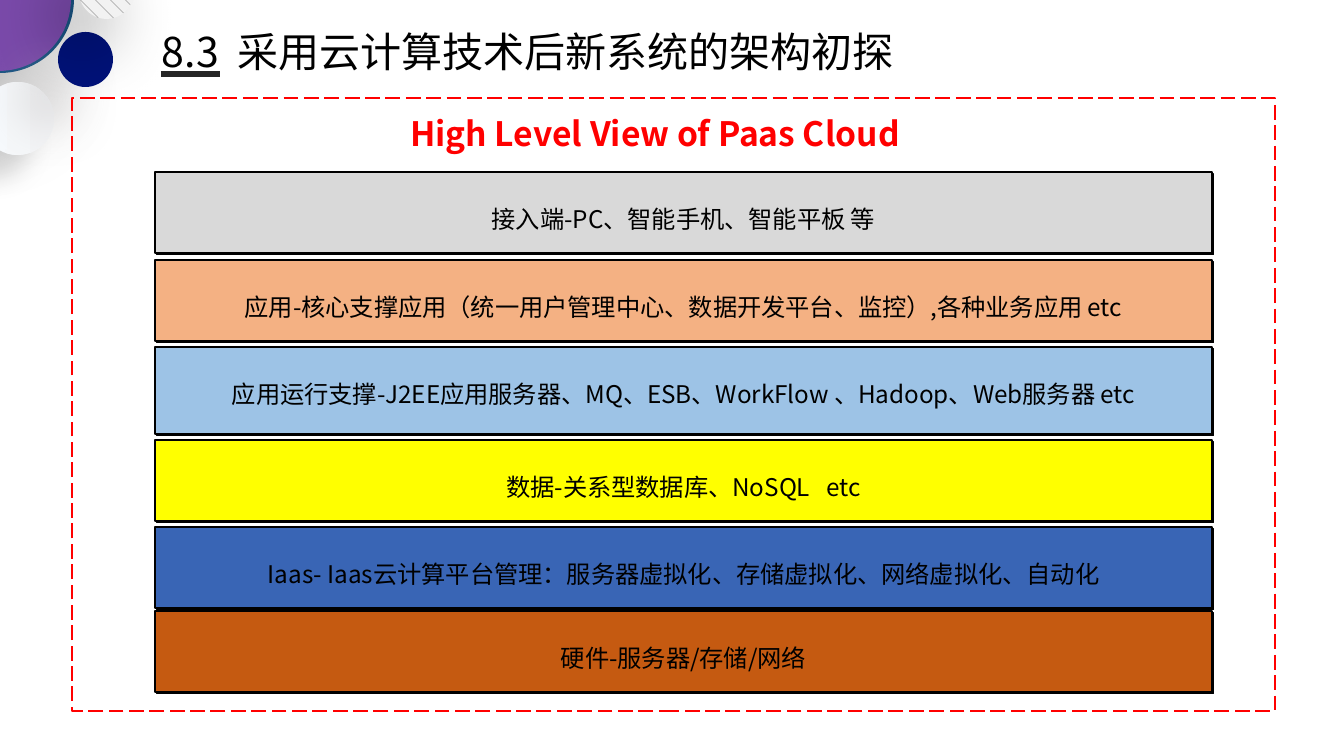
"""Build the cloud architecture slide with its six stacked layers."""
from dataclasses import dataclass
from typing import Optional

from lxml import etree
from pptx import Presentation
from pptx import util as u
from pptx.dml.color import RGBColor
from pptx.enum import dml, shapes, text
from pptx.oxml import ns

SCALE = 914400 / 134.4
FONT = "Noto Sans CJK SC"
COLORS = {
    "black": "000000", "red": "FF0000", "underline": "262626",
    "purple": "7A4AAA", "navy": "001279", "silver": "AFABAB",
    "pearl": "F7FAFD", "mist": "F4F5F7", "teal": "26688F", "ocean": "195382",
    "charcoal": "404040", "smoke": "F2F2F2",
    "access": "D9D9D9", "application": "F4B183", "runtime": "9DC3E6",
    "data": "FFFF00", "iaas": "3965B5", "hardware": "C55A11",
}


@dataclass
class Shadow:
    color: str
    alpha: int
    blur: float
    distance: float
    direction: int = 135


@dataclass
class Circle:
    left: int
    top: int
    size: int
    colors: tuple
    pattern: Optional[dml.MSO_PATTERN] = None
    rotation: float = 0
    shadow: Optional[Shadow] = None


@dataclass
class Layer:
    top: int
    height: int
    color: str
    label: str


PERCENT, SHINGLE = dml.MSO_PATTERN.PERCENT_5, dml.MSO_PATTERN.SHINGLE
CIRCLES = [
    Circle(-74, -75, 148, ("teal", "ocean"), PERCENT, shadow=Shadow("black", 40, 52, 32)),
    Circle(-73, -73, 144, ("purple",)),
    Circle(-19, 82, 73, ("pearl", "mist"), rotation=270, shadow=Shadow("black", 14, 14, 18)),
    Circle(-16, 83, 69, ("pearl", "mist"), rotation=270),
    Circle(58, 32, 55, ("navy",), shadow=Shadow("silver", 40, 27, 29)),
    Circle(79, -38, 56, ("charcoal", "smoke"), SHINGLE, 11.1, Shadow("black", 40, 38, 19)),
    Circle(79, -36, 55, ("charcoal", "smoke"), SHINGLE, 11.1),
]
LAYERS = [
    Layer(611, 81, "hardware", "硬件-服务器/存储/网络"),
    Layer(527, 81, "iaas", "Iaas- Iaas云计算平台管理：服务器虚拟化、存储虚拟化、网络虚拟化、自动化"),
    Layer(440, 81, "data", "数据-关系型数据库、NoSQL   etc"),
    Layer(347, 87, "runtime", "应用运行支撑-J2EE应用服务器、MQ、ESB、WorkFlow 、Hadoop、Web服务器 etc"),
    Layer(260, 81, "application", "应用-核心支撑应用（统一用户管理中心、数据开发平台、监控）,各种业务应用 etc"),
    Layer(172, 81, "access", "接入端-PC、智能手机、智能平板 等"),
]
LAYER_SHADOW = Shadow("black", 100, 0, 1.4, 45)


def px(value: int) -> u.Emu:
    """Turn pixels into EMU."""
    return u.Emu(round(value * SCALE))


def rgb(name: str) -> RGBColor:
    """Look up a named colour."""
    return RGBColor.from_string(COLORS[name])


def set_shadow(shape, shadow: Optional[Shadow]) -> None:
    """Remove the theme shadow and add an outer shadow if one is given."""
    shape.shadow.inherit = False
    if shadow is None:
        return
    effects = shape._element.spPr.find(ns.qn("a:effectLst"))
    outer = etree.SubElement(
        effects, ns.qn("a:outerShdw"), blurRad=str(int(u.Pt(shadow.blur))),
        dist=str(int(u.Pt(shadow.distance))), dir=str(shadow.direction * 60000),
        algn="ctr", rotWithShape="0")
    color = etree.SubElement(outer, ns.qn("a:srgbClr"), val=COLORS[shadow.color])
    etree.SubElement(color, ns.qn("a:alpha"), val=str(shadow.alpha * 1000))


def write_text(shape, content: str, size: int, color: str, bold: bool = False,
               align=text.PP_ALIGN.CENTER, anchor=text.MSO_ANCHOR.MIDDLE,
               insets: tuple = (13, 7, 13, 7)) -> None:
    """Put one formatted paragraph into a shape."""
    frame = shape.text_frame
    frame.text = content
    frame.word_wrap = True
    frame.auto_size = text.MSO_AUTO_SIZE.NONE
    frame.vertical_anchor = anchor
    frame.margin_left, frame.margin_top, frame.margin_right, frame.margin_bottom = map(px, insets)
    paragraph = frame.paragraphs[0]
    paragraph.alignment = align
    for run in paragraph.runs:
        run.font.name, run.font.size, run.font.bold = FONT, u.Pt(size), bold
        run.font.color.rgb = rgb(color)
        etree.SubElement(run.font._element, ns.qn("a:ea"), typeface=FONT)


def draw_circle(slide, circle: Circle) -> None:
    """Draw one decorative corner circle."""
    shape = slide.shapes.add_shape(
        shapes.MSO_SHAPE.OVAL, px(circle.left), px(circle.top), px(circle.size), px(circle.size))
    shape.rotation = circle.rotation
    shape.line.fill.background()
    fill = shape.fill
    if circle.pattern is not None:
        fill.patterned()
        fill.pattern = circle.pattern
        fill.fore_color.rgb, fill.back_color.rgb = map(rgb, circle.colors)
    elif len(circle.colors) == 2:
        fill.gradient()
        fill.gradient_angle = 270
        for stop, color in zip(fill.gradient_stops, circle.colors):
            stop.color.rgb = rgb(color)
    else:
        fill.solid()
        fill.fore_color.rgb = rgb(circle.colors[0])
    set_shadow(shape, circle.shadow)


def draw_layer(group, layer: Layer) -> None:
    """Draw one layer of the architecture stack."""
    shape = group.shapes.add_shape(
        shapes.MSO_SHAPE.RECTANGLE, px(155), px(layer.top), px(1057), px(layer.height))
    shape.fill.solid()
    shape.fill.fore_color.rgb = rgb(layer.color)
    shape.line.color.rgb = rgb("black")
    shape.line.width = u.Pt(0.75)
    set_shadow(shape, LAYER_SHADOW)
    write_text(shape, layer.label, 13, "black", anchor=text.MSO_ANCHOR.TOP,
               insets=(13, 32, 13, 7))


def draw_frame(slide) -> None:
    """Draw the dashed frame around the stack."""
    frame = slide.shapes.add_shape(
        shapes.MSO_SHAPE.RECTANGLE, px(72), px(98), px(1203), px(613))
    frame.fill.background()
    frame.line.color.rgb = rgb("red")
    frame.line.width = u.Pt(1)
    frame.line.dash_style = dml.MSO_LINE.LONG_DASH
    set_shadow(frame, None)


def draw_headings(slide) -> None:
    """Place the title, its underline and the diagram heading."""
    title = slide.shapes.title
    title.left, title.top, title.width, title.height = map(px, (155, 23, 767, 56))
    write_text(title, "8.3  采用云计算技术后新系统的架构初探", 22, "black",
               align=text.PP_ALIGN.LEFT, insets=(7, 4, 7, 4))
    underline = slide.shapes.add_connector(
        shapes.MSO_CONNECTOR.STRAIGHT, px(161), px(74), px(220), px(74))
    underline.line.color.rgb = rgb("underline")
    underline.line.width = u.Pt(3)
    etree.SubElement(underline._element.spPr, ns.qn("a:effectLst"))
    heading = slide.shapes.add_textbox(px(110), px(106), px(1090), px(54))
    write_text(heading, "High Level View of Paas Cloud", 18, "red", bold=True)


def main() -> None:
    """Build and save the slide."""
    presentation = Presentation()
    presentation.slide_width, presentation.slide_height = px(1344), px(756)
    slide = presentation.slides.add_slide(presentation.slide_layouts[5])
    for circle in CIRCLES:
        draw_circle(slide, circle)
    draw_frame(slide)
    draw_headings(slide)
    stack = slide.shapes.add_group_shape()
    for layer in LAYERS:
        draw_layer(stack, layer)
    presentation.save("out.pptx")


if __name__ == "__main__":
    main()
